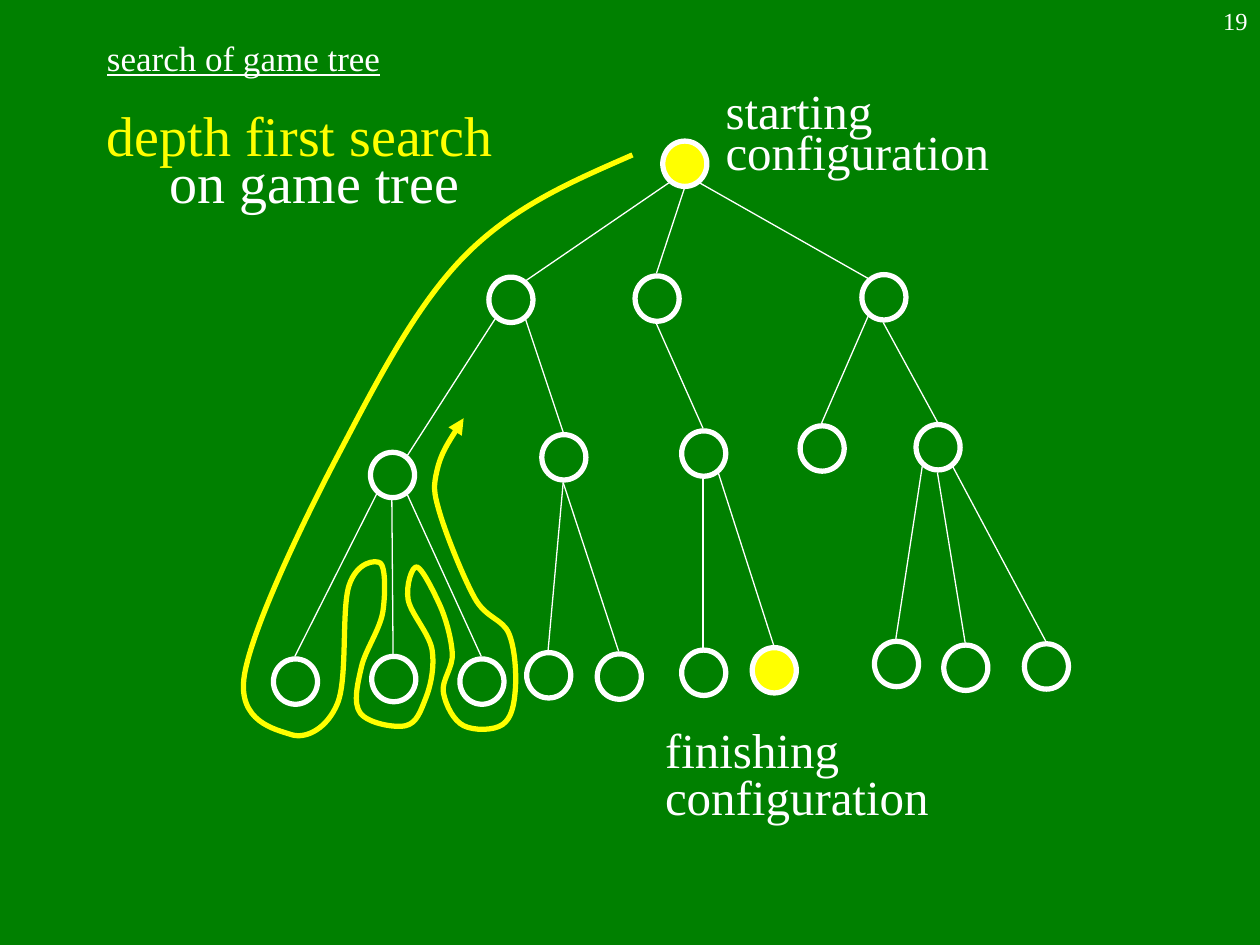
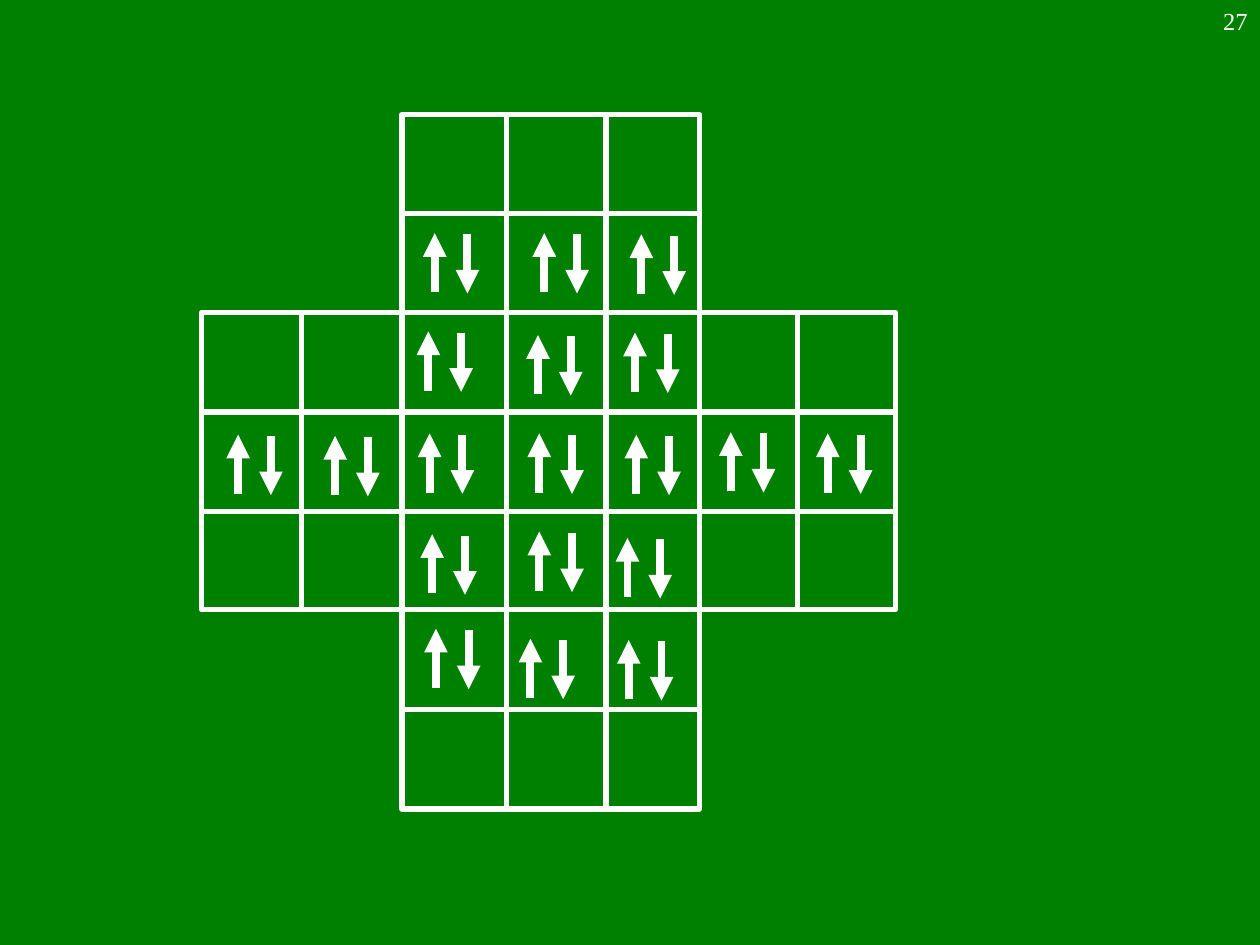
from pptx import Presentation
from pptx.dml.color import RGBColor
from pptx.enum.shapes import MSO_CONNECTOR, MSO_SHAPE
from pptx.enum.text import MSO_ANCHOR, PP_ALIGN
from pptx.oxml.ns import qn
from pptx.util import Pt
from lxml.etree import SubElement

PX = 9144
GREEN, WHITE, YELLOW = "008000", "FFFFFF", "FFFF00"
FONT = "Times New Roman"
THIN, THICK, ARROW = 0.75, 3, 4.5

NODE_WIDTH, NODE_HEIGHT = 35, 36
LEFT, MIDDLE, RIGHT = -1, 0, 1
UP, DOWN = -1, 1
ROOT, GOAL = "root", "goal"
# name: corner, parent, side left on the parent, side reached on the node
TREE = {
    ROOT: ((526, 112), None, None, None),
    "a": ((388, 220), ROOT, LEFT, RIGHT),
    "b": ((504, 219), ROOT, MIDDLE, MIDDLE),
    "c": ((684, 218), ROOT, RIGHT, LEFT),
    "a1": ((294, 359), "a", LEFT, RIGHT),
    "a2": ((430, 345), "a", RIGHT, MIDDLE),
    "b1": ((541, 342), "b", MIDDLE, MIDDLE),
    "c1": ((635, 338), "c", LEFT, MIDDLE),
    "c2": ((727, 337), "c", MIDDLE, MIDDLE),
    "a1x": ((217, 523), "a1", LEFT, MIDDLE),
    "a1y": ((295, 521), "a1", MIDDLE, MIDDLE),
    "a1z": ((365, 523), "a1", RIGHT, MIDDLE),
    "a2x": ((418, 518), "a2", MIDDLE, MIDDLE),
    "a2y": ((474, 519), "a2", MIDDLE, MIDDLE),
    "b1x": ((541, 516), "b1", MIDDLE, MIDDLE),
    GOAL: ((597, 514), "b1", RIGHT, MIDDLE),
    "c2x": ((694, 509), "c2", LEFT, MIDDLE),
    "c2y": ((749, 512), "c2", MIDDLE, MIDDLE),
    "c2z": ((813, 511), "c2", RIGHT, MIDDLE),
}
SEARCH_VISITS = [
    (ROOT, [(-41, -7)]),
    ("a", [(-37, -34)]),
    ("a1", [(-42, -17)]),
    ("a1x", [(-40, -5), (-3, 42), (34, 17), (43, -76)]),
    ("a1y", [(-10, -92), (-8, -54), (-25, -10), (-26, 27), (10, 37),
             (26, 15), (31, -23), (12, -63), (19, -89)]),
    ("a1z", [(-33, -61), (-23, -23), (-30, 9), (-14, 35), (17, 34),
             (27, 7), (22, -38), (-5, -66)]),
    ("a1", [(38, 30), (36, -4), (57, -45)]),
]

COLUMN_EDGES = [160, 239, 319, 402, 481, 555, 632, 711]
ROW_EDGES = [round(91 + 78.7 * row) for row in range(8)]
CUBE_BANDS = [(2, 2, 5, 5), (3, 0, 4, 7), (0, 3, 7, 4)]
TOP, WEST, BOTTOM, EAST = range(4)
CUBE_ARMS = [
    ((2, 0, 5, 2), WEST, EAST),
    ((2, 5, 5, 7), WEST, EAST),
    ((0, 2, 2, 5), TOP, BOTTOM),
    ((5, 2, 7, 5), TOP, BOTTOM),
]
ARROW_LENGTH, ARROW_GAP, ARROW_DROP = 47, 26, 1
ARROW_PAIRS = [
    (345, 185), (432, 185), (509, 186),
    (340, 263), (427, 266), (504, 264),
    (189, 345), (266, 346), (341, 344), (428, 344),
    (505, 345), (580, 343), (657, 344),
    (343, 424), (428, 422), (498, 427),
    (346, 499), (421, 507), (499, 508),
]


def color(value):
    return RGBColor.from_string(value)


def scaled(values):
    return [round(value * PX) for value in values]


def apply_format(target, values):
    for name, value in values.items():
        setattr(target, name, value)


def style_line(item, tint, width, arrow=False):
    item.line.color.rgb = color(tint)
    item.line.width = Pt(width)
    if arrow:
        SubElement(item.element.spPr.get_or_add_ln(), qn("a:tailEnd"), type="triangle")


def add_text(page, area, lines, size, anchor=MSO_ANCHOR.TOP, wrap=True, underline=False):
    frame = page.shapes.add_textbox(*scaled(area)).text_frame
    apply_format(frame, {"word_wrap": wrap, "vertical_anchor": anchor})
    for index, (words, tint, indent, layout) in enumerate(lines):
        para = frame.paragraphs[0] if index == 0 else frame.add_paragraph()
        para._p.get_or_add_pPr().set("marL", str(indent * PX))
        apply_format(para, layout)
        span = para.add_run()
        span.text = words
        apply_format(span.font, {"name": FONT, "size": Pt(size), "underline": underline})
        span.font.color.rgb = color(tint)


def add_label(page, area, words, spacing):
    lines = [(word, WHITE, 0, {"line_spacing": spacing}) for word in words]
    add_text(page, area, lines, 28, MSO_ANCHOR.MIDDLE, wrap=False)


def add_page(deck, number):
    page = deck.slides.add_slide(deck.slide_layouts[6])
    page.background.fill.solid()
    page.background.fill.fore_color.rgb = color(GREEN)
    number_line = (str(number), WHITE, 0, {"alignment": PP_ALIGN.RIGHT})
    add_text(page, (792, 0, 208, 50), [number_line], 14)
    return page


def add_outline(page, kind, area, fill=None):
    shape = page.shapes.add_shape(kind, *scaled(area))
    shape.shadow.inherit = False
    if fill:
        shape.fill.solid()
        shape.fill.fore_color.rgb = color(fill)
    else:
        shape.fill.background()
    style_line(shape, WHITE, THICK)
    return shape


def add_line(page, start, end, width, arrow=False):
    line = page.shapes.add_connector(MSO_CONNECTOR.STRAIGHT, *scaled(start + end))
    style_line(line, WHITE, width, arrow)
    SubElement(line.element.spPr, qn("a:effectLst"))
    return line


def shifted(point, before, after, share):
    return tuple(p + (a - b) * share for p, b, a in zip(point, before, after))


def smooth_points(knots):
    points = [knots[0]]
    last = len(knots) - 2
    for index in range(last + 1):
        start, end = knots[index:index + 2]
        leaving = shifted(start, knots[max(index - 1, 0)], end, 1 / 6)
        following = knots[min(index + 2, last + 1)]
        arriving = shifted(end, following, start, 1 / 6)
        if index == 0:
            leaving = shifted(start, start, arriving, 1 / 2)
        if index == last:
            arriving = shifted(leaving, leaving, end, 1 / 2)
        points += [leaving, arriving, end]
    return points


def add_curve(page, knots):
    points = smooth_points(knots)
    builder = page.shapes.build_freeform(*points[0], scale=PX)
    builder.add_line_segments(points[1:], close=False)
    curve = builder.convert_to_shape()
    steps = list(curve.element.iter(qn("a:lnTo")))
    for index in range(0, len(steps), 3):
        bend = SubElement(steps[index].getparent(), qn("a:cubicBezTo"))
        for step in steps[index:index + 3]:
            bend.append(step[0])
            step.getparent().remove(step)
    curve.shadow.inherit = False
    curve.fill.background()
    style_line(curve, YELLOW, THICK, arrow=True)


def node_center(name):
    left, top = TREE[name][0]
    return left + NODE_WIDTH // 2, top + NODE_HEIGHT // 2


def node_port(name, side, direction):
    x, y = node_center(name)
    reach = 15 if side else 20
    return x + 12 * side, y + reach * direction


def add_tree(page):
    for name, (corner, parent, parent_side, side) in TREE.items():
        fill = YELLOW if name in (ROOT, GOAL) else None
        add_outline(page, MSO_SHAPE.OVAL, corner + (NODE_WIDTH, NODE_HEIGHT), fill)
        if parent:
            start = node_port(parent, parent_side, DOWN)
            add_line(page, start, node_port(name, side, UP), THIN)


def add_search_route(page):
    knots = []
    for name, offsets in SEARCH_VISITS:
        x, y = node_center(name)
        knots += [(x + across, y + down) for across, down in offsets]
    add_curve(page, knots)


def add_cell_block(page, block):
    first_column, first_row, end_column, end_row = block
    left, right = COLUMN_EDGES[first_column], COLUMN_EDGES[end_column]
    top, bottom = ROW_EDGES[first_row], ROW_EDGES[end_row]
    return add_outline(page, MSO_SHAPE.RECTANGLE, (left, top, right - left, bottom - top))


def add_cube_net(page):
    for band in CUBE_BANDS:
        add_cell_block(page, band)
    for block, first_side, last_side in CUBE_ARMS:
        arm = add_cell_block(page, block)
        divider = add_line(page, (0, 0), (0, 0), THICK)
        divider.begin_connect(arm, first_side)
        divider.end_connect(arm, last_side)


def add_arrow_pair(page, left, top):
    add_line(page, (left, top + ARROW_LENGTH), (left, top), ARROW, arrow=True)
    right, start = left + ARROW_GAP, top + ARROW_DROP
    add_line(page, (right, start), (right, start + ARROW_LENGTH), ARROW, arrow=True)


def build_search_page(deck):
    page = add_page(deck, 19)
    add_text(page, (75, 33, 642, 25), [("search of game tree", WHITE, 0, {})], 20,
             MSO_ANCHOR.MIDDLE, underline=True)
    add_text(page, (75, 75, 400, 100), [
        ("depth first search", YELLOW, 0, {}),
        ("on game tree", WHITE, 50, {"line_spacing": 0.4, "space_before": Pt(8)}),
    ], 32)
    add_tree(page)
    add_label(page, (566, 71, 229, 76), ["starting", "configuration"], 0.7)
    add_label(page, (518, 575, 229, 85), ["finishing", "configuration"], 0.8)
    add_search_route(page)


def build_cube_page(deck):
    page = add_page(deck, 27)
    add_cube_net(page)
    for left, top in ARROW_PAIRS:
        add_arrow_pair(page, left, top)


def main():
    deck = Presentation()
    deck.slide_width, deck.slide_height = scaled((1000, 750))
    build_search_page(deck)
    build_cube_page(deck)
    deck.save("out.pptx")


if __name__ == "__main__":
    main()
